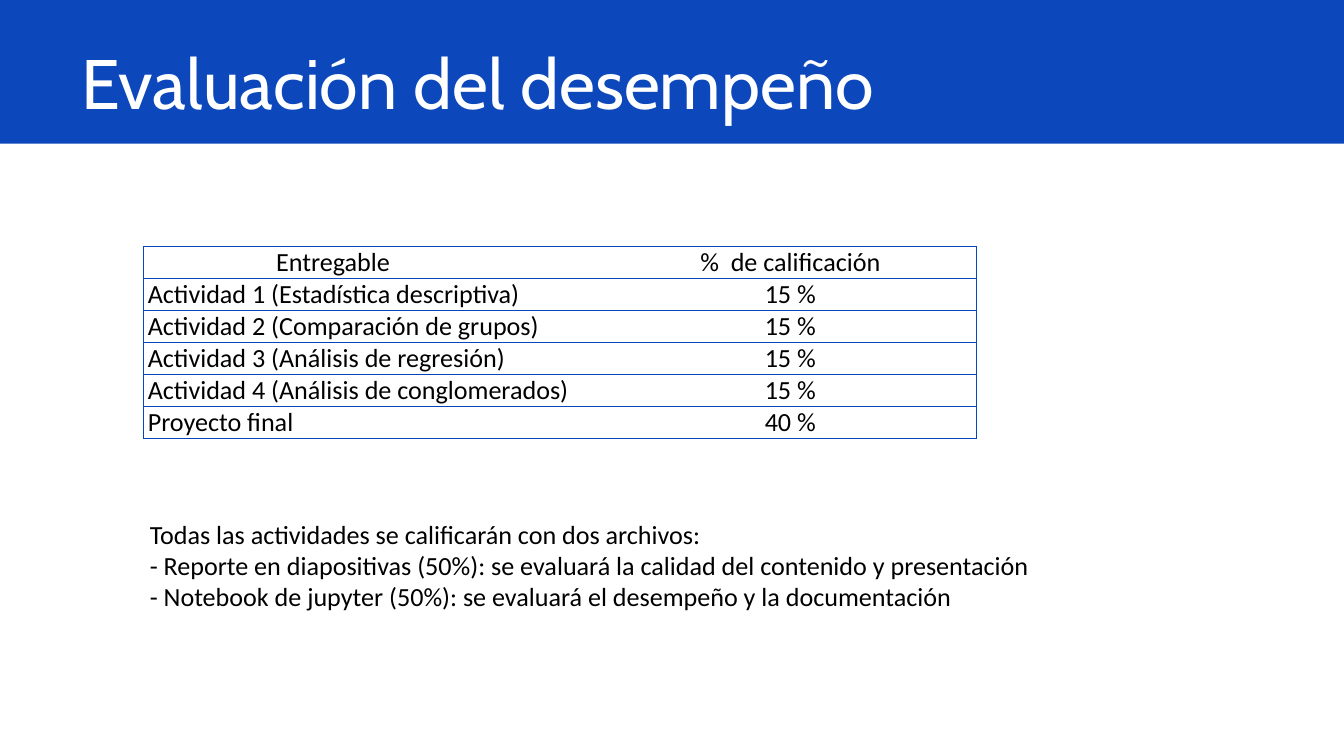
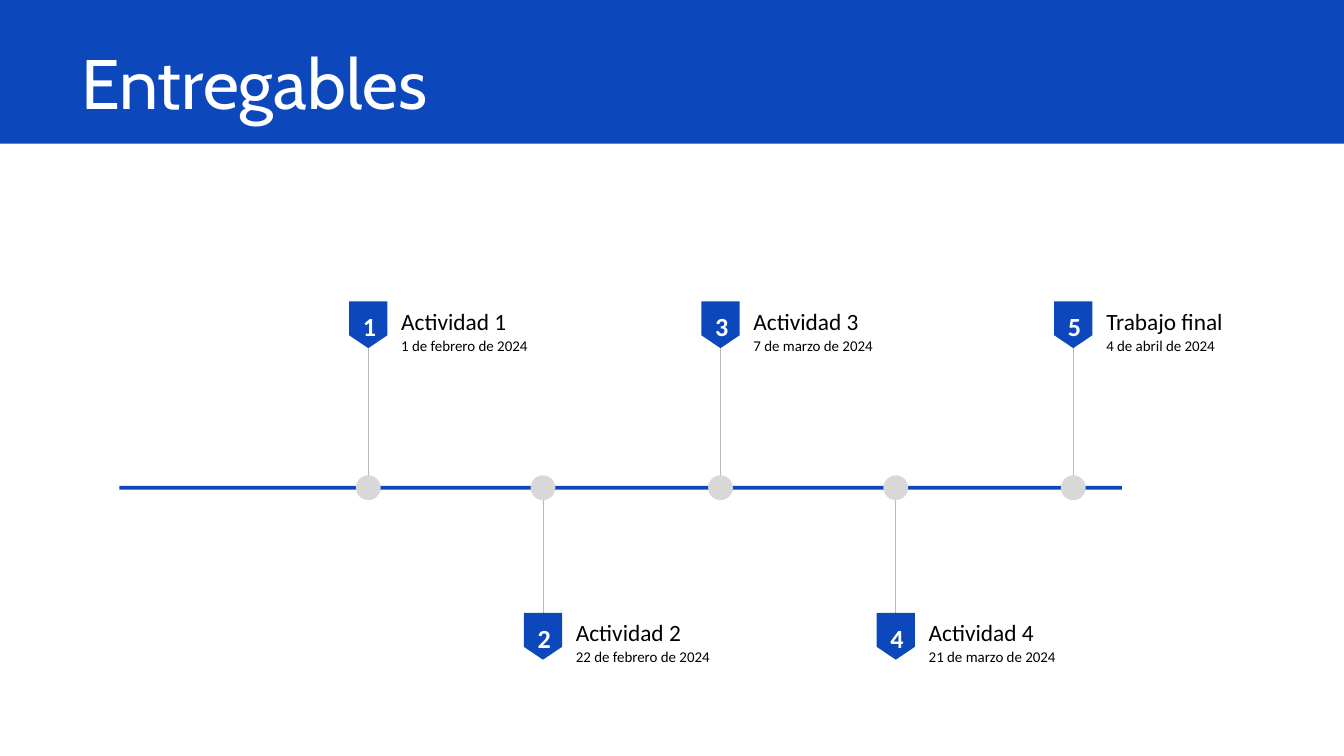
"""Build two course slides: grading table and deliverables timeline."""
from lxml.etree import SubElement
from pptx import Presentation
from pptx.dml.color import RGBColor
from pptx.enum.shapes import MSO_CONNECTOR, MSO_SHAPE
from pptx.enum.text import MSO_ANCHOR, MSO_AUTO_SIZE, PP_ALIGN
from pptx.oxml.ns import qn
from pptx.util import Pt

COLORS = {
    "band": "0C48BB",
    "border": "0745BB",
    "stem": "B5BBBF",
    "dot": "D8D8D8",
    "text": "000000",
    "light": "FFFFFF",
}
TITLE_FONT = {"name": "Cabin", "size": Pt(75), "bold": False}
BODY_FONT = {"name": "Calibri", "size": Pt(28), "bold": False}
NUMBER_FONT = {**BODY_FONT, "bold": True}
NAME_FONT = {**BODY_FONT, "size": Pt(25)}
DATE_FONT = {**BODY_FONT, "size": Pt(16)}
NO_MARGINS = (0, 0, 0, 0)
SLIDE_WIDTH = 1440

GRADES = [
    ("Entregable", "%  de calificación"),
    ("Actividad 1 (Estadística descriptiva)", "15 %"),
    ("Actividad 2 (Comparación de grupos)", "15 %"),
    ("Actividad 3 (Análisis de regresión)", "15 %"),
    ("Actividad 4 (Análisis de conglomerados)", "15 %"),
    ("Proyecto final", "40 %"),
]
GRADING_NOTES = [
    "Todas las actividades se calificarán con dos archivos:",
    "- Reporte en diapositivas (50%): se evaluará la calidad del contenido y presentación",
    "- Notebook de jupyter (50%): se evaluará el desempeño y la documentación",
]
MILESTONES = [
    (394.6, "Actividad 1", "1 de febrero de 2024"),
    (581.8, "Actividad 2", "22 de febrero de 2024"),
    (772, "Actividad 3", "7 de marzo de 2024"),
    (959.8, "Actividad 4", "21 de marzo de 2024"),
    (1150, "Trabajo final", "4 de abril de 2024"),
]
AXIS_MIDDLE = 522.6
FLAG_WIDTH, FLAG_SHOULDER, FLAG_HEIGHT = 41, 36.4, 50.2
FLAG_TOPS = (322.8, 656.6)


def color(key):
    """Return a named colour."""
    return RGBColor.from_string(COLORS[key])


def paint(shape, key):
    """Give a shape a plain fill without line or shadow."""
    shape.shadow.inherit = False
    shape.fill.solid()
    shape.fill.fore_color.rgb = color(key)
    shape.line.fill.background()


def write(frame, lines, font, ink="text", margins=None, spacing=None, align=PP_ALIGN.LEFT):
    """Fill a text frame with evenly formatted paragraphs."""
    frame.word_wrap = True
    frame.vertical_anchor = MSO_ANCHOR.TOP
    if margins:
        sides = ("margin_left", "margin_top", "margin_right", "margin_bottom")
        for side, margin in zip(sides, margins):
            setattr(frame, side, Pt(margin))
    for index, line in enumerate(lines):
        paragraph = frame.add_paragraph() if index else frame.paragraphs[0]
        paragraph.text = line
        paragraph.alignment = align
        if spacing:
            paragraph.line_spacing = spacing
        for name, value in font.items():
            setattr(paragraph.font, name, value)
        paragraph.font.color.rgb = color(ink)


def add_text(slide, box, lines, font, **options):
    """Add a text box at the given left, top, width and height."""
    frame = slide.shapes.add_textbox(*map(Pt, box)).text_frame
    write(frame, lines, font, **options)


def add_block(slide, preset, box, key):
    """Add a plain preset shape."""
    block = slide.shapes.add_shape(preset, *map(Pt, box))
    paint(block, key)
    return block


def add_titled_slide(deck, heading):
    """Add a slide with the blue band behind its title."""
    slide = deck.slides.add_slide(deck.slide_layouts[5])
    title = slide.shapes.title
    band = add_block(slide, MSO_SHAPE.RECTANGLE, (0, 0, SLIDE_WIDTH, 154), "band")
    title.element.addprevious(band.element)
    title.left, title.top, title.width, title.height = map(Pt, (87, 24.5, 1235, 108.7))
    write(title.text_frame, [heading], TITLE_FONT, "light", NO_MARGINS, 1.2)
    title.text_frame.auto_size = MSO_AUTO_SIZE.NONE
    return slide


def set_borders(cell, visible):
    """Draw the visible sides of a cell and hide the others."""
    properties = cell._tc.get_or_add_tcPr()
    for index, side in enumerate("LRTB"):
        line = properties.makeelement(qn(f"a:ln{side}"), {"w": str(Pt(0.75))})
        properties.insert(index, line)
        if side in visible:
            fill = SubElement(line, qn("a:solidFill"))
            SubElement(fill, qn("a:srgbClr"), val=COLORS["border"])
        else:
            SubElement(line, qn("a:noFill"))


def add_grades(slide):
    """Add the table of deliverables and their weights."""
    row_height = 33.6
    widths = (406.8, 87.1, 398.9)
    box = (153.4, 264.2, sum(widths), row_height * len(GRADES))
    table = slide.shapes.add_table(len(GRADES), 3, *map(Pt, box)).table
    table.first_row = table.horz_banding = False
    for column, width in zip(table.columns, widths):
        column.width = Pt(width)
    for index, (deliverable, weight) in enumerate(GRADES):
        first_align = PP_ALIGN.LEFT if index else PP_ALIGN.CENTER
        entries = (deliverable, "", weight)
        aligns = (first_align, PP_ALIGN.LEFT, PP_ALIGN.CENTER)
        for column, (entry, align) in enumerate(zip(entries, aligns)):
            cell = table.cell(index, column)
            write(cell.text_frame, [entry], BODY_FONT, align=align)
            cell.margin_left = cell.margin_right = Pt(5)
            cell.margin_top = cell.margin_bottom = 0
            cell.fill.background()
            set_borders(cell, ("LTB", "TB", "RTB")[column])
        if 0 < index < len(GRADES) - 1:
            table.cell(index, 0).merge(table.cell(index, 1))


def add_stem(slide, x, top, bottom):
    """Add the thin vertical line between the axis and a flag."""
    stem = slide.shapes.add_connector(MSO_CONNECTOR.STRAIGHT, *map(Pt, (x, top, x, bottom)))
    stem.line.color.rgb = color("stem")
    stem.line.width = Pt(1)
    SubElement(stem.element.spPr, qn("a:effectLst"))


def add_flag(slide, x, top):
    """Add a pentagon that points down."""
    left, right = x - FLAG_WIDTH / 2, x + FLAG_WIDTH / 2
    shoulder = top + FLAG_SHOULDER
    corners = [(left, shoulder), (x, top + FLAG_HEIGHT), (right, shoulder), (right, top)]
    outline = slide.shapes.build_freeform(Pt(left), Pt(top))
    outline.add_line_segments([(Pt(a), Pt(b)) for a, b in corners])
    paint(outline.convert_to_shape(), "band")


def add_milestone(slide, number, x, name, date):
    """Add a numbered flag with its stem, name and date."""
    below = number % 2 == 0
    top = FLAG_TOPS[below]
    if below:
        add_stem(slide, x, AXIS_MIDDLE, top + FLAG_HEIGHT / 2)
    else:
        add_stem(slide, x, top + FLAG_HEIGHT, AXIS_MIDDLE)
    add_flag(slide, x, top)
    plain = {"margins": NO_MARGINS}
    add_text(slide, (x - 5.8, top, 16.6, 34.6), [str(number)], NUMBER_FONT,
             ink="light", spacing=1.3, **plain)
    add_text(slide, (x + 35.3, top - 3.2, 227.5, 39.6), [name], NAME_FONT, spacing=1.3, **plain)
    add_text(slide, (x + 35.3, top + 37.7, 227.5, 19.4), [date], DATE_FONT, **plain)


def add_timeline(slide):
    """Add the axis, the milestones and the dots on top."""
    add_block(slide, MSO_SHAPE.RECTANGLE, (128, AXIS_MIDDLE - 2.1, 1074, 4.2), "band")
    for number, milestone in enumerate(MILESTONES, 1):
        add_milestone(slide, number, *milestone)
    dot = 26.6
    for x, _, _ in MILESTONES:
        box = (x - dot / 2, AXIS_MIDDLE - dot / 2, dot, dot)
        add_block(slide, MSO_SHAPE.OVAL, box, "dot")


def main():
    """Build and save the deck."""
    deck = Presentation()
    deck.slide_width, deck.slide_height = Pt(SLIDE_WIDTH), Pt(810)
    grading = add_titled_slide(deck, "Evaluación del desempeño")
    add_grades(grading)
    add_text(grading, (153.4, 551.5, 1235, 139.7), GRADING_NOTES, BODY_FONT)
    add_timeline(add_titled_slide(deck, "Entregables"))
    deck.save("out.pptx")


if __name__ == "__main__":
    main()
